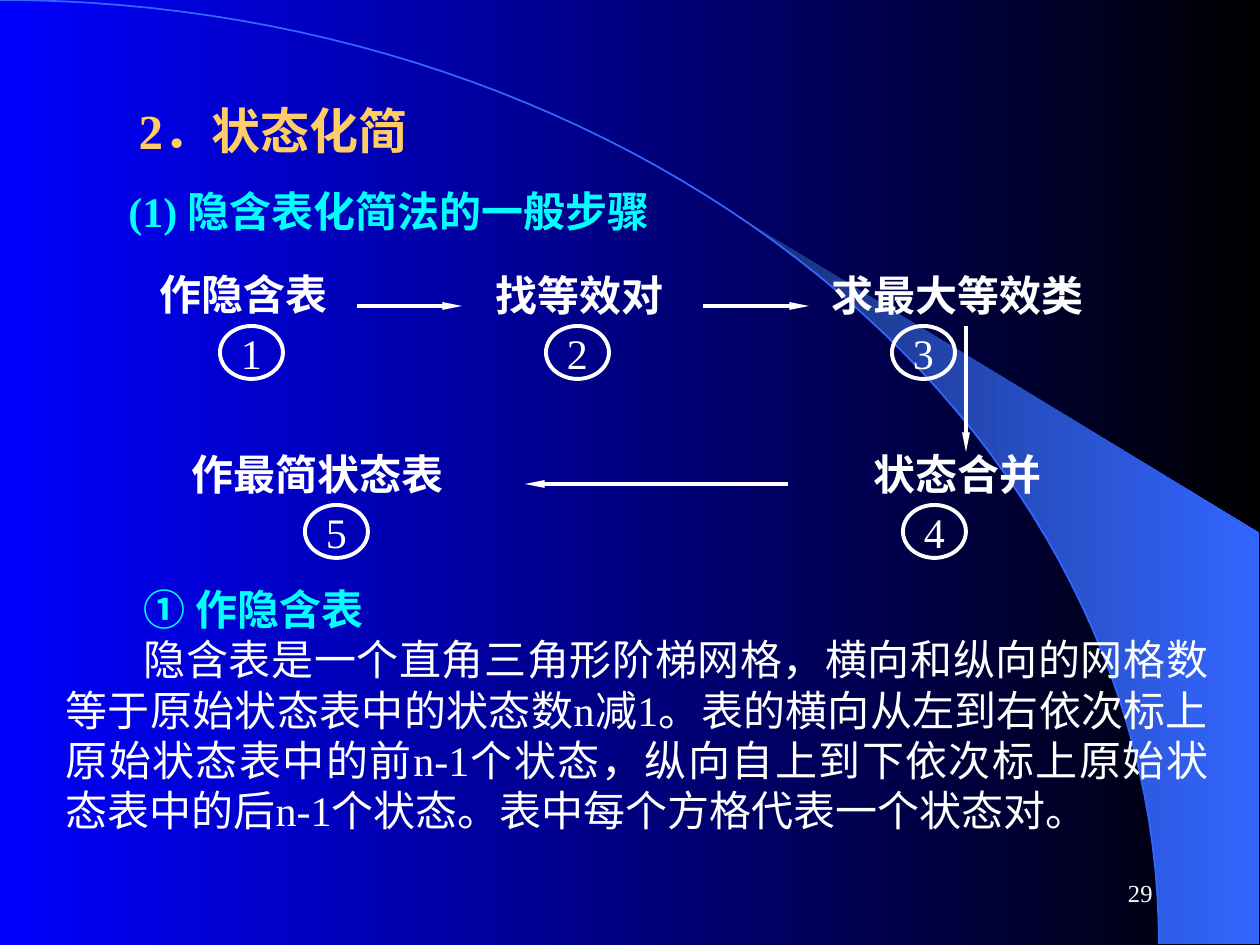
import math

import pptx
import pptx.util
import pptx.dml.color
import pptx.enum.shapes
import pptx.enum.text
import pptx.oxml.ns
from lxml import etree

EMU_PER_PX = 914400 / 126
FONT = "Times New Roman"
COLORS = {
    "white": "FFFFFF",
    "gold": "FFCC66",
    "cyan": "00FFFF",
    "blue": "0000FF",
    "black": "000000",
    "arc": "3366FF",
    "wedge_dark": "182F76",
}
ARC_WIDTH, ARC_HEIGHT = 1159, 944
ALIGN = pptx.enum.text.PP_ALIGN
ANCHOR = pptx.enum.text.MSO_ANCHOR
AUTO_SIZE = pptx.enum.text.MSO_AUTO_SIZE

STEPS = [
    ("作隐含表", (147, 262, 210, 63), 0, ALIGN.JUSTIFY),
    ("找等效对", (462, 263, 231, 63), 21, ALIGN.LEFT),
    ("求最大等效类", (809, 263, 305, 63), 10, ALIGN.JUSTIFY),
    ("状态合并", (840, 442, 252, 63), 21, ALIGN.LEFT),
    ("作最简状态表", (179, 442, 315, 63), 0, ALIGN.LEFT),
]
NUMBER_POSITIONS = [(220, 326), (546, 326), (892, 326), (903, 505), (305, 505)]
ARROWS = [
    (357, 306, 462, 306),
    (703, 306, 809, 306),
    (966, 326, 966, 452),
    (788, 484, 525, 484),
]
BODY = [
    ("① 作隐含表", "cyan", True),
    ("隐含表是一个直角三角形阶梯网格，横向和纵向的网格数等于原始状态表中的状态数n减1。"
     "表的横向从左到右依次标上原始状态表中的前n-1个状态，纵向自上到下依次标上原始状态表"
     "中的后n-1个状态。表中每个方格代表一个状态对。", "white", False),
]


def px(value):
    return pptx.util.Emu(round(value * EMU_PER_PX))


def color(name):
    return pptx.dml.color.RGBColor.from_string(COLORS[name])


def fill_gradient(fill, *names):
    fill.gradient()
    fill.gradient_angle = 0
    for stop, name in zip(fill.gradient_stops, names):
        stop.color.rgb = color(name)


def style_line(line, name, width):
    line.color.rgb = color(name)
    line.width = pptx.util.Pt(width)


def place(shape, box):
    shape.left, shape.top, shape.width, shape.height = map(px, box)


def format_paragraph(paragraph, size, color_name, bold=False, align=ALIGN.LEFT, indent=0):
    paragraph.alignment = align
    properties = paragraph._p.get_or_add_pPr()
    properties.set("marL", "0")
    properties.set("indent", str(px(indent)))
    paragraph.space_before = pptx.util.Pt(0)
    etree.SubElement(properties, pptx.oxml.ns.qn("a:buNone"))
    for run in paragraph.runs:
        run.font.name = FONT
        run.font.size = pptx.util.Pt(size)
        run.font.bold = bold
        run.font.color.rgb = color(color_name)


def set_frame(shape, anchor=ANCHOR.TOP, auto_size=AUTO_SIZE.SHAPE_TO_FIT_TEXT):
    frame = shape.text_frame
    frame.word_wrap = True
    frame.vertical_anchor = anchor
    frame.auto_size = auto_size
    return frame


def add_text(slide, text, box, size, color_name, bold=False, align=ALIGN.LEFT, indent=0):
    shape = slide.shapes.add_textbox(*map(px, box))
    frame = set_frame(shape)
    frame.text = text
    format_paragraph(frame.paragraphs[0], size, color_name, bold, align, indent)
    return shape


def fill_title(slide):
    title = slide.shapes.title
    place(title, (126, 94, 346, 72))
    frame = set_frame(title)
    frame.text = "2．状态化简"
    format_paragraph(frame.paragraphs[0], 28, "gold", True)


def fill_body(slide):
    body = slide.placeholders[1]
    place(body, (53, 577, 1168, 265))
    frame = set_frame(body)
    frame.text = "\n".join(text for text, _, _ in BODY)
    for paragraph, (_, color_name, bold) in zip(frame.paragraphs, BODY):
        format_paragraph(paragraph, 24, color_name, bold, ALIGN.JUSTIFY, 78)


def arc_points(start_angle):
    steps = 60
    angles = [start_angle + (math.pi / 2 - start_angle) * i / steps for i in range(steps + 1)]
    return [(ARC_WIDTH * math.sin(a), ARC_HEIGHT * (1 - math.cos(a))) for a in angles]


def add_outline(slide, points, closed):
    builder = slide.shapes.build_freeform(
        round(points[0][0] * 100), round(points[0][1] * 100), scale=EMU_PER_PX / 100)
    builder.add_line_segments(
        [(round(x * 100), round(y * 100)) for x, y in points[1:]], close=closed)
    shape = builder.convert_to_shape()
    shape.shadow.inherit = False
    return shape


def add_backdrop(slide):
    fill_gradient(slide.background.fill, "blue", "black")
    wedge_points = arc_points(math.asin(0.64)) + [(1259, 944), (1259, 533)]
    wedge = add_outline(slide, wedge_points, True)
    fill_gradient(wedge.fill, "wedge_dark", "arc")
    wedge.line.fill.background()
    arc = add_outline(slide, arc_points(0), False)
    arc.fill.background()
    style_line(arc.line, "arc", 1)
    for position, shape in enumerate((wedge, arc), start=2):
        slide.shapes._spTree.insert(position, shape._element)


def add_arrow(slide, ends):
    connector = slide.shapes.add_connector(
        pptx.enum.shapes.MSO_CONNECTOR.STRAIGHT, *map(px, ends))
    style_line(connector.line, "white", 2.25)
    etree.SubElement(connector.line._get_or_add_ln(), pptx.oxml.ns.qn("a:tailEnd"),
                     type="triangle", w="sm", len="lg")
    etree.SubElement(connector._element.spPr, pptx.oxml.ns.qn("a:effectLst"))


def add_number(slide, number, position):
    shape = slide.shapes.add_shape(
        pptx.enum.shapes.MSO_SHAPE.OVAL, *map(px, (*position, 63, 53)))
    shape.shadow.inherit = False
    shape.fill.background()
    style_line(shape.line, "white", 2.25)
    frame = set_frame(shape, ANCHOR.MIDDLE, AUTO_SIZE.NONE)
    frame.word_wrap = False
    frame.text = str(number)
    format_paragraph(frame.paragraphs[0], 24, "white", align=ALIGN.CENTER)


def main():
    presentation = pptx.Presentation()
    presentation.slide_width, presentation.slide_height = px(1260), px(945)
    slide = presentation.slides.add_slide(presentation.slide_layouts[1])
    add_backdrop(slide)
    fill_title(slide)
    fill_body(slide)
    add_text(slide, "(1) 隐含表化简法的一般步骤", (116, 179, 577, 63), 24, "cyan", True)
    for text, box, indent, align in STEPS:
        add_text(slide, text, box, 24, "white", True, align, indent)
    for ends in ARROWS:
        add_arrow(slide, ends)
    for number, position in enumerate(NUMBER_POSITIONS, start=1):
        add_number(slide, number, position)
    page = add_text(slide, "29", (903, 861, 262, 63), 14, "white", align=ALIGN.RIGHT)
    set_frame(page, ANCHOR.MIDDLE, AUTO_SIZE.NONE)
    presentation.save("out.pptx")


if __name__ == "__main__":
    main()
